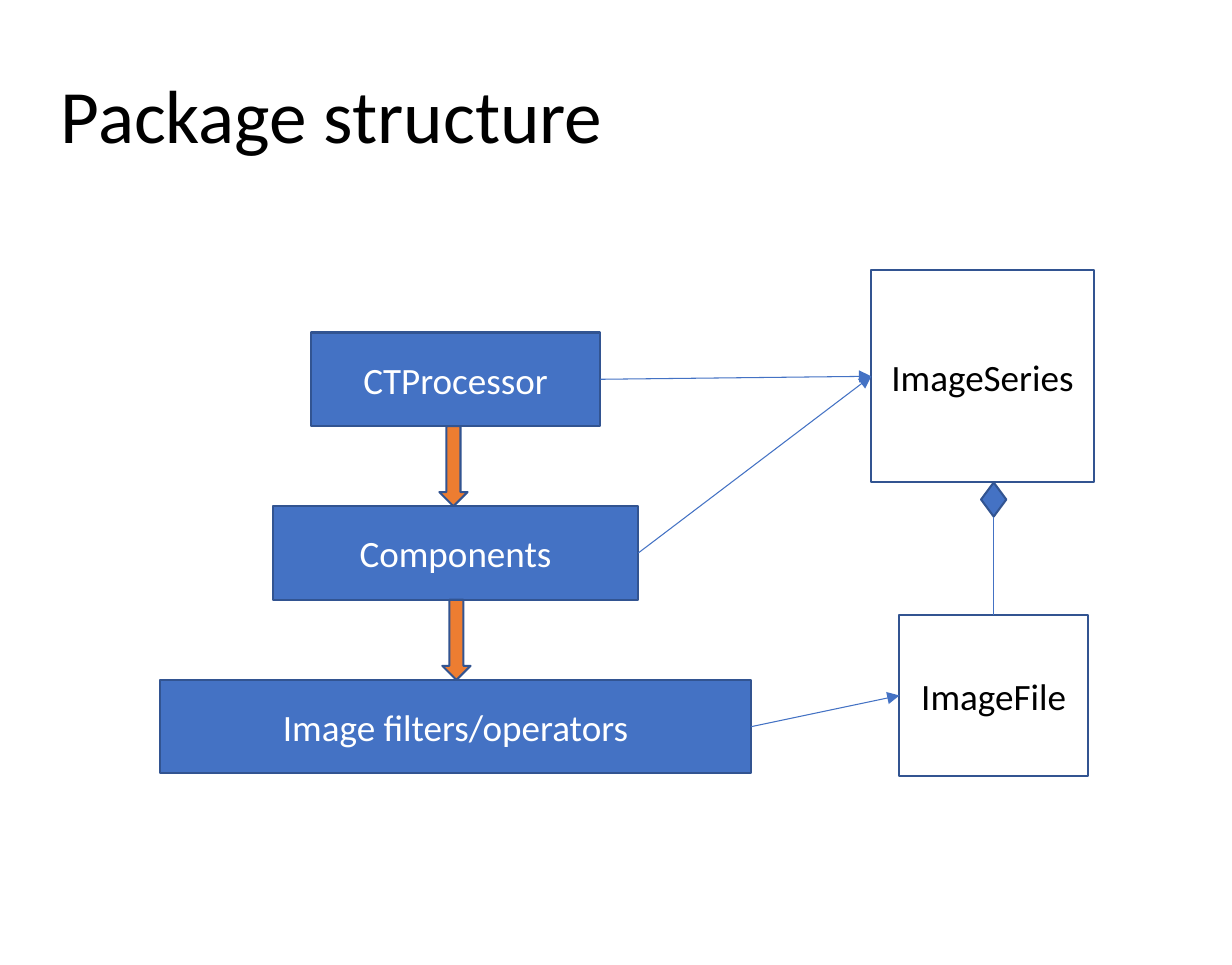
import pptx
import pptx.util
import pptx.dml.color
import pptx.enum.shapes
import pptx.enum.text
import pptx.oxml.ns
import lxml.etree

KIND = pptx.enum.shapes.MSO_SHAPE
ALIGN = pptx.enum.text.PP_ALIGN
MIDDLE = pptx.enum.text.MSO_ANCHOR.MIDDLE

# Grid of 83 columns by 65 rows
CELL = pptx.util.Inches(0.1)
COLS, ROWS = 83, 65

BLUE, EDGE, ORANGE = "4472C4", "325491", "ED7D31"
WHITE, BLACK = "FFFFFF", "000000"

# Connection sites of a rectangle or diamond
TOP, LEFT, BOTTOM, RIGHT = range(4)


def grid(*cells):
    return [round(cell * CELL) for cell in cells]


def color(code):
    return pptx.dml.color.RGBColor.from_string(code)


def write(shape, text, size, ink, align):
    frame = shape.text_frame
    frame.text = text
    frame.word_wrap = True
    frame.vertical_anchor = MIDDLE
    para = frame.paragraphs[0]
    para.alignment = align
    font = para.runs[0].font
    font.name = "Calibri"
    font.size = pptx.util.Pt(size)
    font.color.rgb = color(ink)


def title(slide, text, area):
    box = slide.shapes.add_textbox(*grid(*area))
    write(box, text, 36.5, BLACK, ALIGN.LEFT)
    frame = box.text_frame
    frame.margin_left = frame.margin_right = 0
    frame.margin_top = frame.margin_bottom = 0
    frame.paragraphs[0].line_spacing = 0.9


def block(slide, kind, area, fill):
    shape = slide.shapes.add_shape(kind, *grid(*area))
    shape.shadow.inherit = False
    shape.fill.solid()
    shape.fill.fore_color.rgb = color(fill)
    shape.line.color.rgb = color(EDGE)
    shape.line.width = pptx.util.Pt(1)
    return shape


def label(slide, text, area, fill, ink):
    shape = block(slide, KIND.RECTANGLE, area, fill)
    write(shape, text, 18, ink, ALIGN.CENTER)
    return shape


def link(slide, start, exit_site, end, entry_site, arrow=True):
    straight = pptx.enum.shapes.MSO_CONNECTOR.STRAIGHT
    line = slide.shapes.add_connector(straight, 0, 0, 0, 0)
    line.begin_connect(start, exit_site)
    line.end_connect(end, entry_site)
    line.line.color.rgb = color(BLUE)
    line.line.width = pptx.util.Pt(0.5)
    name = pptx.oxml.ns.qn
    if arrow:
        stroke = line.line._get_or_add_ln()
        lxml.etree.SubElement(stroke, name("a:tailEnd"), type="triangle")
    lxml.etree.SubElement(line._element.spPr, name("a:effectLst"))


def main():
    deck = pptx.Presentation()
    deck.slide_width, deck.slide_height = grid(COLS, ROWS)
    slide = deck.slides.add_slide(deck.slide_layouts[6])

    title(slide, "Package structure", (4.1, 2.6, 74.7, 10.9))

    # Layers, centred on one axis at an equal pitch
    axis, first, pitch, high = 30.7, 22.4, 11.7, 6.3
    names = (("CTProcessor", 19.5), ("Components", 24.6),
             ("Image filters/operators", 39.8))
    layers = []
    for row, (text, wide) in enumerate(names):
        area = (axis - wide / 2, first + row * pitch, wide, high)
        layers.append(label(slide, text, area, BLUE, WHITE))

    # Arrows filling the gaps between layers
    for row in range(len(names) - 1):
        area = (29.6 + 0.2 * row, first + row * pitch + high,
                1.9, pitch - high)
        block(slide, KIND.DOWN_ARROW, area, ORANGE)

    # Image classes and the diamond joining them
    file = label(slide, "ImageFile", (60.6, 41.4, 12.7, 10.9), WHITE, BLACK)
    series = label(slide, "ImageSeries", (58.7, 18.2, 15, 14.3), WHITE, BLACK)
    gem = block(slide, KIND.DIAMOND, (66.1, 32.5, 1.7, 2.3), BLUE)
    link(slide, gem, BOTTOM, file, TOP, arrow=False)

    # Each layer points to the class it uses
    for layer, target in zip(layers, (series, series, file)):
        link(slide, layer, RIGHT, target, LEFT)

    deck.save("out.pptx")


if __name__ == "__main__":
    main()
